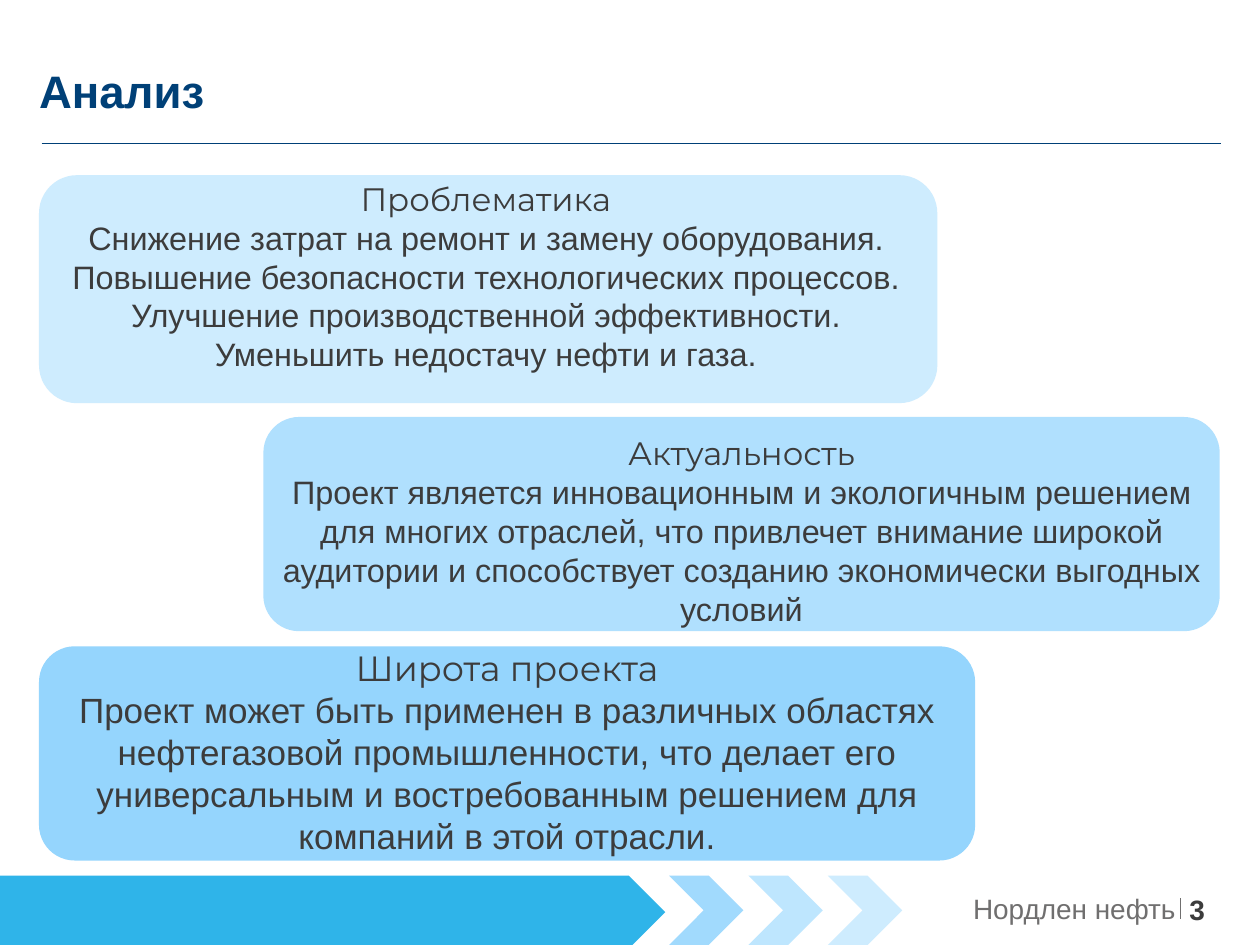
from lxml import etree
from pptx import Presentation
from pptx.dml.color import RGBColor
from pptx.enum.shapes import MSO_CONNECTOR, MSO_SHAPE
from pptx.enum.text import MSO_ANCHOR, MSO_AUTO_SIZE, PP_ALIGN
from pptx.oxml.ns import qn
from pptx.util import Inches, Pt

LEFT, CENTER, RIGHT = PP_ALIGN.LEFT, PP_ALIGN.CENTER, PP_ALIGN.RIGHT
TOP, MIDDLE, BOTTOM = MSO_ANCHOR.TOP, MSO_ANCHOR.MIDDLE, MSO_ANCHOR.BOTTOM
ROUNDED, PENTAGON, CHEVRON = (
    MSO_SHAPE.ROUNDED_RECTANGLE, MSO_SHAPE.PENTAGON, MSO_SHAPE.CHEVRON)

THEME = {
    "heading_font": "Montserrat", "body_font": "Arial",
    "title": "004077", "text": "3C3C3C", "muted": "706F6F", "band": "2FB4E9",
    "title_size": 26, "footer_size": 16, "card_size": 18.5, "large_size": 20,
}

TITLE = "Анализ"
COMPANY = "Нордлен нефть"
PAGE = "3"

CARDS = [
    {"heading": "Проблематика",
     "body": ["Снижение затрат на ремонт и замену оборудования.",
              "Повышение безопасности технологических процессов.",
              "Улучшение производственной эффективности.",
              "Уменьшить недостачу нефти и газа."],
     "panel": (0.31, 1.39, 7.13, 1.81), "text_box": (0.31, 1.42, 7.09, 1.74),
     "fill": "CEECFE", "size": THEME["card_size"], "space_before": 12},
    {"heading": "Актуальность",
     "body": ["Проект является инновационным и экологичным решением для многих "
              "отраслей, что привлечет внимание широкой аудитории и "
              "способствует созданию экономически выгодных условий"],
     "panel": (2.09, 3.31, 7.59, 1.7), "text_box": (2.17, 3.44, 7.43, 1.57),
     "fill": "B0E0FE", "size": THEME["card_size"], "space_before": 12},
    {"heading": "Широта проекта",
     "body": ["Проект может быть применен в различных областях нефтегазовой "
              "промышленности, что делает его универсальным и востребованным "
              "решением для компаний в этой отрасли."],
     "panel": (0.31, 5.13, 7.43, 1.7), "text_box": (0.31, 5.13, 7.43, 1.74),
     "fill": "95D5FD", "size": THEME["large_size"], "space_before": 0},
]

CHEVRON_FILLS = ["A1DAFD", "BEE6FE", "CEECFE"]
CHEVRON_LEFT, CHEVRON_STEP = 5.31, 0.63


def color(value):
    return RGBColor.from_string(value)


def add_panel(slide, kind, box, fill):
    panel = slide.shapes.add_shape(kind, *map(Inches, box))
    panel.shadow.inherit = False
    panel.fill.solid()
    panel.fill.fore_color.rgb = color(fill)
    panel.line.fill.background()


def add_rule(slide, start, end, stroke, width):
    rule = slide.shapes.add_connector(
        MSO_CONNECTOR.STRAIGHT, *map(Inches, start + end))
    rule.line.color.rgb = color(stroke)
    rule.line.width = Pt(width)
    etree.SubElement(rule._element.spPr, qn("a:effectLst"))


def prepare_frame(holder, anchor):
    frame = holder.text_frame
    frame.word_wrap = True
    frame.auto_size = MSO_AUTO_SIZE.NONE
    frame.vertical_anchor = anchor
    frame.margin_left = frame.margin_right = 0
    frame.margin_top = frame.margin_bottom = 0
    return frame


def add_text_box(slide, box, anchor=TOP):
    return prepare_frame(slide.shapes.add_textbox(*map(Inches, box)), anchor)


def write(paragraph, words, size, fill, font=THEME["body_font"],
          bold=False, align=LEFT):
    paragraph.alignment = align
    run = paragraph.add_run()
    run.text = words
    run.font.name = font
    run.font.size = Pt(size)
    run.font.bold = bold
    run.font.color.rgb = color(fill)


def add_title(slide):
    title = slide.shapes.title
    title.left, title.top, title.width, title.height = map(
        Inches, (0.31, 0.28, 9.37, 0.66))
    line = prepare_frame(title, BOTTOM).paragraphs[0]
    line.line_spacing = 0.9
    write(line, TITLE, THEME["title_size"], THEME["title"], bold=True)
    add_rule(slide, (0.33, 1.14), (9.69, 1.14), THEME["title"], 1)


def add_card(slide, card):
    add_panel(slide, ROUNDED, card["panel"], card["fill"])
    frame = add_text_box(slide, card["text_box"])
    heading = frame.paragraphs[0]
    heading.space_before = Pt(card["space_before"])
    write(heading, card["heading"], card["size"], THEME["text"],
          THEME["heading_font"], align=CENTER)
    for sentence in card["body"]:
        write(frame.add_paragraph(), sentence, card["size"], THEME["text"],
              align=CENTER)


def add_footer(slide):
    add_panel(slide, PENTAGON, (0, 6.95, 5.28, 0.58), THEME["band"])
    for index, fill in enumerate(CHEVRON_FILLS):
        left = CHEVRON_LEFT + index * CHEVRON_STEP
        add_panel(slide, CHEVRON, (left, 6.95, 0.59, 0.55), fill)
    company = add_text_box(slide, (5.94, 7.07, 3.39, 0.27), MIDDLE)
    write(company.paragraphs[0], COMPANY, THEME["footer_size"],
          THEME["muted"], align=RIGHT)
    add_rule(slide, (9.37, 7.13), (9.37, 7.29), THEME["muted"], 0.75)
    page = add_text_box(slide, (9.44, 7.08, 0.56, 0.19))
    write(page.paragraphs[0], PAGE, THEME["footer_size"], THEME["text"],
          bold=True)


def main():
    deck = Presentation()
    deck.slide_width, deck.slide_height = Inches(10), Inches(7.5)
    slide = deck.slides.add_slide(deck.slide_layouts[5])
    add_title(slide)
    for card in CARDS:
        add_card(slide, card)
    add_footer(slide)
    deck.save("out.pptx")


if __name__ == "__main__":
    main()
